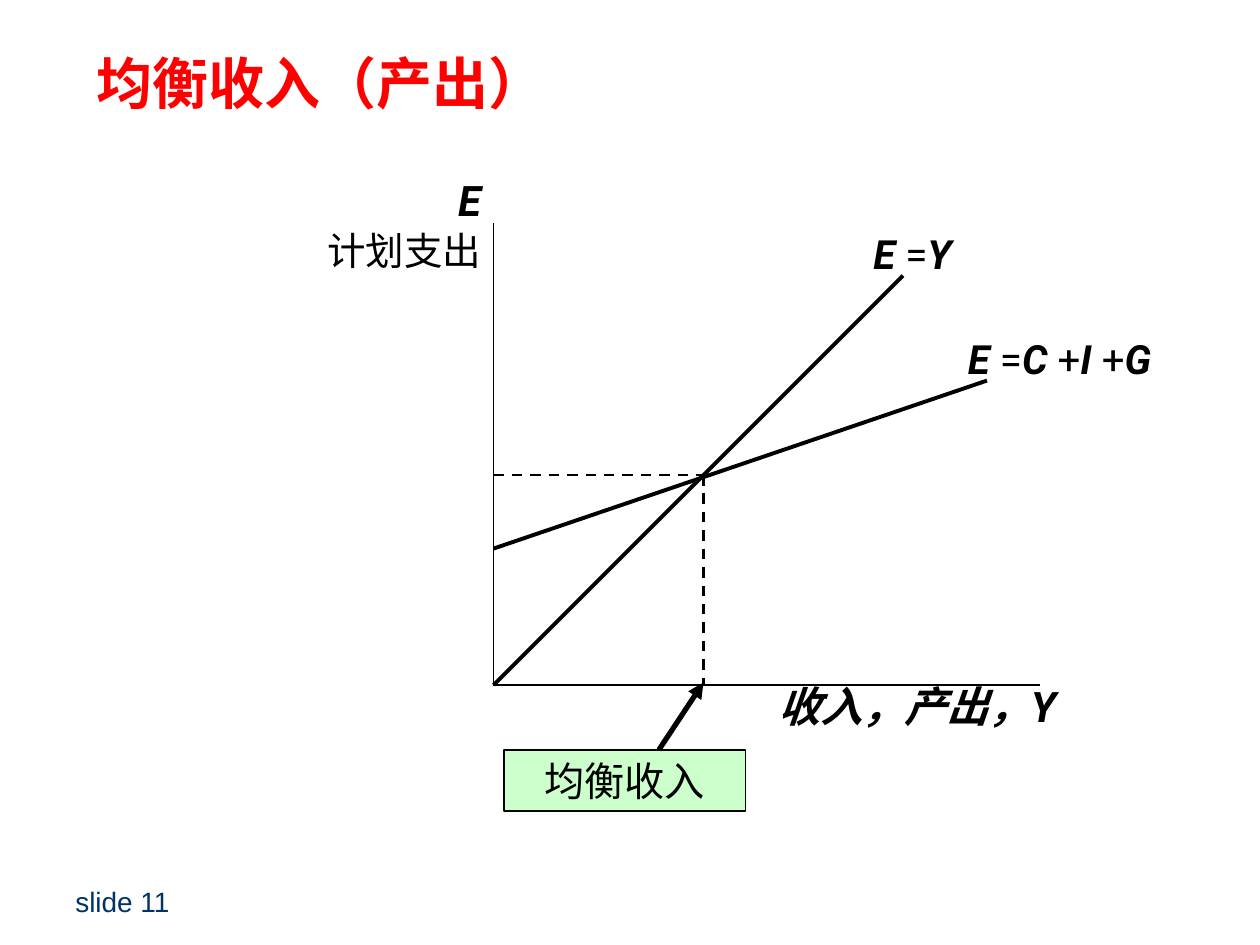
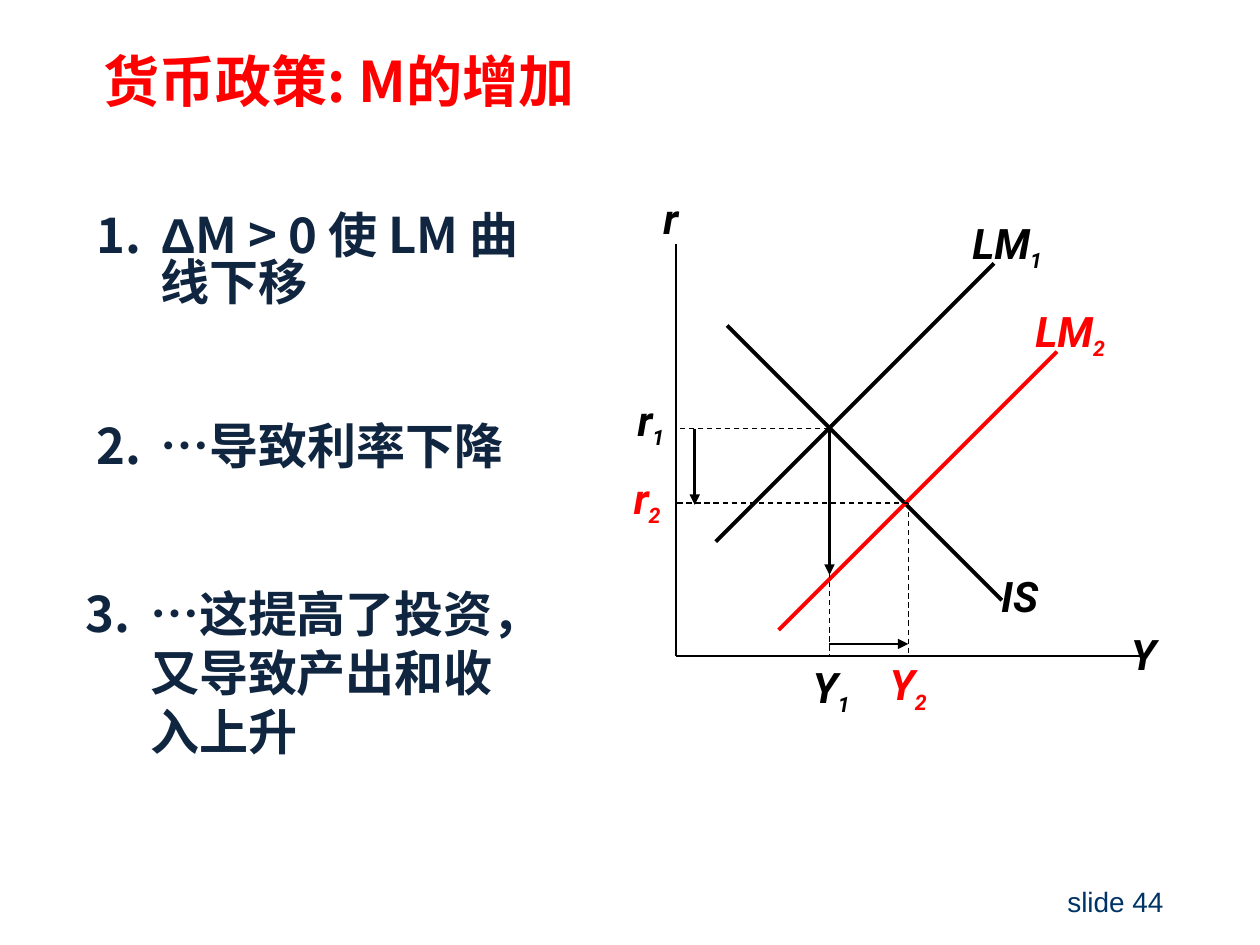
from lxml import etree
from pptx import Presentation
from pptx.dml.color import RGBColor
from pptx.enum.dml import MSO_LINE
from pptx.enum.shapes import MSO_CONNECTOR, MSO_SHAPE
from pptx.enum.text import MSO_ANCHOR, PP_ALIGN
from pptx.oxml.ns import qn
from pptx.util import Pt

# Shared colours and fonts
BLACK = RGBColor(0x00, 0x00, 0x00)
RED = RGBColor(0xFF, 0x00, 0x00)
NAVY = RGBColor(0x10, 0x25, 0x3F)
FOOTER_BLUE = RGBColor(0x00, 0x33, 0x66)
PALE_GREEN = RGBColor(0xCC, 0xFF, 0xCC)
CHINESE_FONT = "Noto Sans CJK SC"
MATH_FONT = "Roboto"
SERIF_FONT = "Times New Roman"
FOOTER_FONT = "Arial"

# Line widths
AXIS, GUIDE, ARROW, CURVE = 1, 0.75, 1.5, 2.25


def add_run(paragraph, text, size, color, font=MATH_FONT, bold=False, italic=False):
    run = paragraph.add_run()
    run.text = text
    run.font.name = font
    run.font.size = Pt(size)
    run.font.bold = bold
    run.font.italic = italic
    run.font.color.rgb = color
    east_asian = etree.SubElement(run._r.get_or_add_rPr(), qn("a:ea"))
    east_asian.set("typeface", CHINESE_FONT)
    return run


def add_box(slide, left, top, width, height, anchor=MSO_ANCHOR.TOP):
    """Add a wrapping text box and return its text frame."""
    shape = slide.shapes.add_textbox(Pt(left), Pt(top), Pt(width), Pt(height))
    text_frame = shape.text_frame
    text_frame.word_wrap = True
    text_frame.vertical_anchor = anchor
    return text_frame


def add_title(slide, text, left, top):
    paragraph = add_box(slide, left, top, 660, 66, MSO_ANCHOR.MIDDLE).paragraphs[0]
    paragraph.line_spacing = 0.9
    add_run(paragraph, text, 32, RED, CHINESE_FONT, bold=True)


def add_footer(slide, number, left, alignment):
    paragraph = add_box(slide, left, 500.5, 164, 29, MSO_ANCHOR.MIDDLE).paragraphs[0]
    paragraph.alignment = alignment
    add_run(paragraph, f"slide {number}", 16, FOOTER_BLUE, FOOTER_FONT)


def add_line(slide, start, end, width, color=BLACK, dashed=False, arrow=False):
    line = slide.shapes.add_connector(
        MSO_CONNECTOR.STRAIGHT, *(Pt(value) for value in (*start, *end)))
    line.line.color.rgb = color
    line.line.width = Pt(width)
    if dashed:
        line.line.dash_style = MSO_LINE.DASH
    properties = line._element.spPr
    if arrow:
        etree.SubElement(properties.find(qn("a:ln")), qn("a:tailEnd")).set("type", "triangle")
    etree.SubElement(properties, qn("a:effectLst"))


def add_axes(slide, origin, top, right):
    add_line(slide, origin, (origin[0], top), AXIS)
    add_line(slide, origin, (right, origin[1]), AXIS)


def add_symbol(slide, box, text, subscript="", color=BLACK, alignment=PP_ALIGN.CENTER):
    """Add a bold italic label with an optional subscript."""
    paragraph = add_box(slide, *box).paragraphs[0]
    paragraph.alignment = alignment
    add_run(paragraph, text, 24, color, bold=True, italic=True)
    if subscript:
        run = add_run(paragraph, subscript, 21, color, bold=True, italic=True)
        run._r.get_or_add_rPr().set("baseline", "-25000")


def add_equation(slide, box, parts):
    """Add an equation whose letters are bold italic and operators plain."""
    paragraph = add_box(slide, *box).paragraphs[0]
    for part in parts:
        is_letter = part.strip().isalpha()
        add_run(paragraph, part, 23, BLACK, bold=is_letter, italic=is_letter)


def add_step(slide, box, number, parts, line_spacing=1.0):
    """Add a numbered step with a hanging indent; parts are (text, font)."""
    paragraph = add_box(slide, *box).paragraphs[0]
    paragraph.line_spacing = line_spacing
    properties = paragraph._p.get_or_add_pPr()
    properties.set("marL", str(Pt(36.75)))
    properties.set("indent", str(-Pt(36.75)))
    for text, font in [(f"{number}.\t", CHINESE_FONT), *parts]:
        add_run(paragraph, text, 28, NAVY, font, bold=True)


def add_callout(slide, box, text, tip):
    left, top, width, height = box
    shape = slide.shapes.add_shape(MSO_SHAPE.RECTANGLE, *(Pt(value) for value in box))
    shape.shadow.inherit = False
    shape.fill.solid()
    shape.fill.fore_color.rgb = PALE_GREEN
    shape.line.color.rgb = BLACK
    shape.line.width = Pt(0.75)
    shape.text_frame.vertical_anchor = MSO_ANCHOR.TOP
    paragraph = shape.text_frame.paragraphs[0]
    paragraph.alignment = PP_ALIGN.CENTER
    add_run(paragraph, text, 23, BLACK, SERIF_FONT)
    add_line(slide, (left + 88.5, top), tip, 3, arrow=True)


def build_equilibrium_income(slide):
    add_title(slide, "均衡收入（产出）", 48, 16.5)
    add_footer(slide, 11, 36, PP_ALIGN.LEFT)

    # Axes and their names
    origin = (282, 391.5)
    add_axes(slide, origin, 127.5, 594)
    add_symbol(slide, (438, 385.5, 204, 36), "收入，产出，Y", alignment=PP_ALIGN.LEFT)
    text_frame = add_box(slide, 138, 96, 144, 64)
    expenditure, description = text_frame.paragraphs[0], text_frame.add_paragraph()
    expenditure.alignment = description.alignment = PP_ALIGN.RIGHT
    description.space_before = Pt(1.4)
    add_run(expenditure, "E", 24, BLACK, bold=True, italic=True)
    add_run(description, "计划支出", 22, BLACK, SERIF_FONT)

    # Expenditure lines
    add_line(slide, origin, (516, 157.5), CURVE)
    add_equation(slide, (492, 127.5, 78, 35), ["E", " =", "Y"])
    add_line(slide, (282, 313.5), (564, 217.5), CURVE)
    add_equation(slide, (546, 187.5, 162, 35), ["E", " =", "C ", "+", "I ", "+", "G"])

    # Equilibrium point
    equilibrium = (402, 271.5)
    add_line(slide, equilibrium, (equilibrium[0], origin[1]), 1.5, dashed=True)
    add_line(slide, (origin[0], equilibrium[1]), equilibrium, 1.5, dashed=True)
    add_callout(slide, (288, 428.5, 138, 35), "均衡收入", (402, 390))


def build_monetary_policy(slide):
    add_title(slide, "货币政策: M的增加", 52, 15)
    add_footer(slide, 44, 508, PP_ALIGN.RIGHT)

    # Steps of the argument
    add_step(slide, (48, 120, 264, 96), 1,
             [("Δ", FOOTER_FONT), ("M > 0 使 LM 曲线下移", CHINESE_FONT)], 0.8)
    add_step(slide, (48, 234, 258, 78), 2, [("…导致利率下降", CHINESE_FONT)])
    add_step(slide, (42, 330, 264, 126), 3,
             [("…这提高了投资，又导致产出和收入上升", CHINESE_FONT)])

    # Axes
    origin_x, origin_y = origin = (386.5, 375)
    add_axes(slide, origin, 139.5, 653)
    add_symbol(slide, (631, 355.5, 45, 36), "Y")
    add_symbol(slide, (367, 106.5, 32.5, 36), "r")

    # IS curve, and the LM curve before and after its shift
    add_line(slide, (415.5, 186), (572.5, 343), CURVE)
    add_symbol(slide, (565, 322.5, 54, 36), "IS", alignment=PP_ALIGN.LEFT)
    for subscript, color, right, down in (("1", BLACK, 0, 0), ("2", RED, 36, 50.5)):
        add_line(slide, (409 + right, 309.5 + down), (568 + right, 150.5 + down), CURVE, color)
        add_symbol(slide, (548.5 + right, 120.5 + down, 63, 39), "LM", subscript, color,
                   PP_ALIGN.LEFT)

    # Both equilibria with guides to the axes
    first, second = (474, 245), (519, 287.5)
    equilibria = (
        ("1", BLACK, first, (354, 222, 36, 39), (454, 374.5, 42, 39)),
        ("2", RED, second, (351, 266.5, 37.5, 39), (498, 373, 42, 39)),
    )
    for subscript, color, point, rate_box, income_box in equilibria:
        add_line(slide, point, (origin_x, point[1]), GUIDE, dashed=True)
        add_line(slide, point, (point[0], origin_y), GUIDE, dashed=True)
        add_symbol(slide, rate_box, "r", subscript, color)
        add_symbol(slide, income_box, "Y", subscript, color)

    # Arrows for the changes
    add_line(slide, (first[0], 368), (second[0], 368), ARROW, arrow=True)
    add_line(slide, (397, first[1]), (397, second[1] + 1), ARROW, arrow=True)
    add_line(slide, first, (first[0], 328.5), ARROW, arrow=True)


def main():
    presentation = Presentation()
    presentation.slide_width, presentation.slide_height = Pt(720), Pt(540)
    blank_layout = presentation.slide_layouts[6]
    for build in (build_equilibrium_income, build_monetary_policy):
        build(presentation.slides.add_slide(blank_layout))
    presentation.save("out.pptx")


if __name__ == "__main__":
    main()
